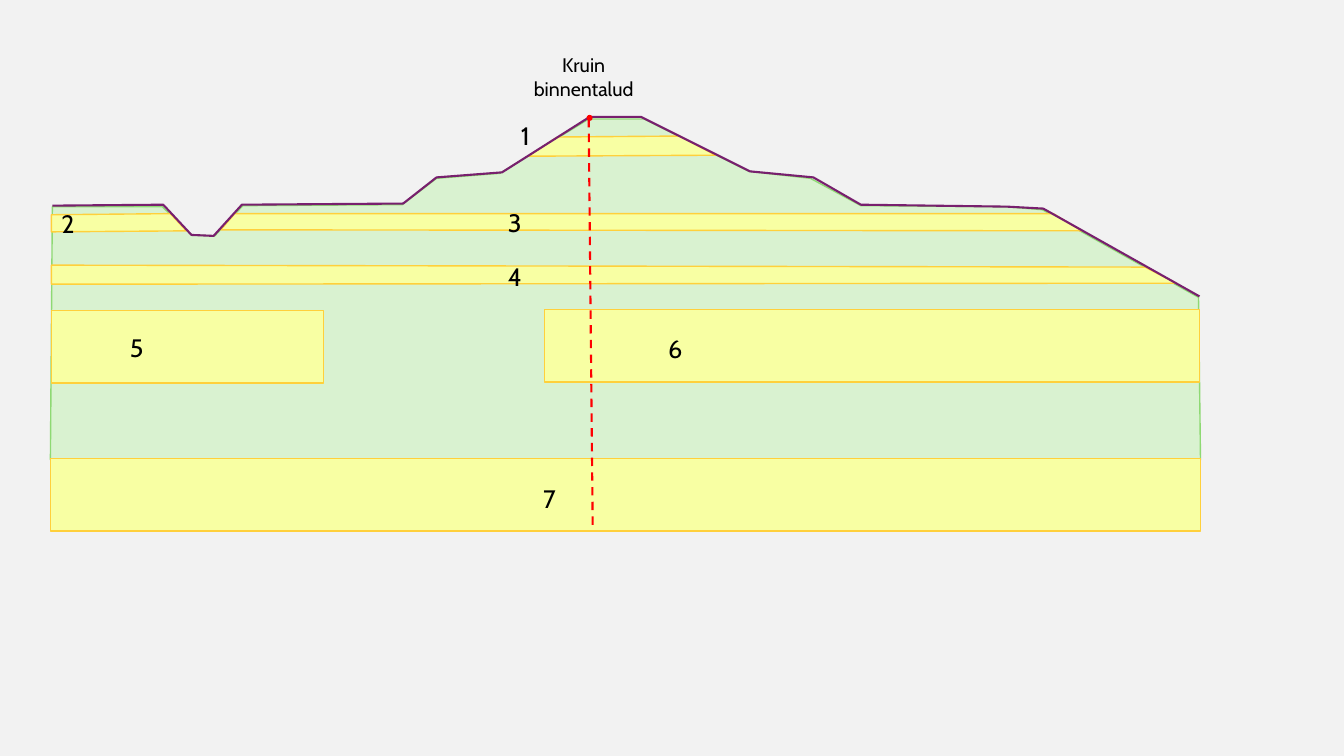
from dataclasses import dataclass

from lxml.etree import SubElement
from pptx import Presentation
from pptx.dml.color import RGBColor
from pptx.enum.dml import MSO_LINE
from pptx.enum.shapes import MSO_CONNECTOR, MSO_SHAPE
from pptx.enum.text import MSO_AUTO_SIZE, PP_ALIGN
from pptx.oxml.ns import qn
from pptx.util import Pt

FONT = "Cabin"
BACKGROUND = "F2F2F2"
GROUND_FILL, GROUND_LINE = "D9F2D0", "8ED973"
SAND_FILL, SAND_LINE = "F8FFA3", "FFD03B"
SURFACE = "78206E"
RED = "FF0000"
BLACK = "000000"

Point = tuple[float, float]


@dataclass
class Outline:
    points: list[Point]
    fill: str | None
    line: str
    weight: float = 1
    closed: bool = True


@dataclass
class Layer:
    left: float
    top: float
    width: float
    height: float = 51.8


@dataclass
class Label:
    text: str
    left: float
    top: float
    width: float = 24.5
    height: float = 28.8
    size: float = 18
    align: PP_ALIGN = PP_ALIGN.LEFT
    wrap: bool = False


def sand(*points: Point) -> Outline:
    return Outline(list(points), SAND_FILL, SAND_LINE)


GROUND = Outline(
    [(36, 328.3), (857.5, 328.3), (856.1, 212.4), (744.5, 149.8),
     (717.8, 147.6), (614.9, 146.9), (578.9, 127.4), (535, 122.4),
     (460.1, 85), (420.5, 85), (357.1, 123.8), (311.8, 127.4),
     (287.3, 146.2), (173.5, 146.9), (153.4, 168.5), (136.8, 167.8),
     (115.9, 147.6), (37.4, 147.6)],
    GROUND_FILL, GROUND_LINE)

LAYERS = [
    Layer(36, 327.6, 821.5),
    Layer(36.7, 221.8, 194.4),
    Layer(388.8, 221, 468),
]

STRIPS = [
    sand((36.7, 189.4), (817.9, 190.8), (840.2, 202.3), (36.7, 203)),
    sand((398.2, 97.9), (485.3, 97.2), (511.2, 110.9), (377.3, 111.6)),
    sand((167.8, 152.6), (752.4, 152.6), (772.6, 164.9), (157.7, 164.2)),
    sand((36.7, 153.4), (121.7, 152.6), (133.2, 164.9), (36.7, 165.6)),
]

PROFILE = Outline(
    [(37.4, 146.9), (116.6, 146.2), (136.8, 167.8), (152.6, 168.5),
     (172.8, 146.2), (288, 145.4), (311.8, 126.7), (358.6, 123.1),
     (421.2, 83.5), (457.9, 83.5), (535.7, 122.4), (581, 126.7),
     (614.9, 146.2), (719.3, 147.6), (745.2, 149), (856.8, 211.7)],
    None, SURFACE, 1.5, False)

LABELS = [
    Label("Kruin binnentalud", 370.8, 34.6, 92.2, 41, 14, PP_ALIGN.CENTER, True),
    Label("1", 365, 82.1),
    Label("2", 36.7, 145.4),
    Label("3", 355.7, 144.7),
    Label("4", 355.7, 182.9),
    Label("5", 85.7, 234),
    Label("6", 470.2, 234.7),
    Label("7", 380.9, 342),
]


def paint(fmt, color: str) -> None:
    fmt.solid()
    fmt.fore_color.rgb = RGBColor.from_string(color)


def style(sp, fill: str | None, line: str | None, weight: float = 1) -> None:
    sp.shadow.inherit = False
    if fill:
        paint(sp.fill, fill)
    else:
        sp.fill.background()
    if line:
        paint(sp.line.fill, line)
        sp.line.width = Pt(weight)
    else:
        sp.line.fill.background()


def add_outline(shapes, outline: Outline) -> None:
    points = [(Pt(x), Pt(y)) for x, y in outline.points]
    builder = shapes.build_freeform(*points[0])
    builder.add_line_segments(points[1:], close=outline.closed)
    style(builder.convert_to_shape(), outline.fill, outline.line, outline.weight)


def add_layer(shapes, layer: Layer) -> None:
    sp = shapes.add_shape(MSO_SHAPE.RECTANGLE, Pt(layer.left), Pt(layer.top),
                          Pt(layer.width), Pt(layer.height))
    style(sp, SAND_FILL, SAND_LINE)


def add_label(shapes, label: Label) -> None:
    sp = shapes.add_textbox(Pt(label.left), Pt(label.top),
                            Pt(label.width), Pt(label.height))
    tf = sp.text_frame
    tf.word_wrap = label.wrap
    tf.auto_size = MSO_AUTO_SIZE.SHAPE_TO_FIT_TEXT
    p = tf.paragraphs[0]
    p.text = label.text
    p.alignment = label.align
    p.font.name = FONT
    p.font.size = Pt(label.size)
    paint(p.font.fill, BLACK)


def add_crest_line(shapes) -> None:
    line = shapes.add_connector(MSO_CONNECTOR.STRAIGHT, Pt(420.5), Pt(85),
                                Pt(423.4), Pt(378.7))
    paint(line.line.fill, RED)
    line.line.width = Pt(1.5)
    line.line.dash_style = MSO_LINE.DASH
    SubElement(line._element.spPr, qn("a:effectLst"))
    dot = shapes.add_shape(MSO_SHAPE.OVAL, Pt(419), Pt(82.1), Pt(4.3), Pt(4.3))
    style(dot, RED, None)


def main() -> None:
    prs = Presentation()
    prs.slide_width, prs.slide_height = Pt(960), Pt(540)
    s = prs.slides.add_slide(prs.slide_layouts[6])
    paint(s.background.fill, BACKGROUND)
    add_outline(s.shapes, GROUND)
    for layer in LAYERS:
        add_layer(s.shapes, layer)
    for strip in STRIPS:
        add_outline(s.shapes, strip)
    for label in LABELS:
        add_label(s.shapes, label)
    add_outline(s.shapes, PROFILE)
    add_crest_line(s.shapes)
    prs.save("out.pptx")


if __name__ == "__main__":
    main()
